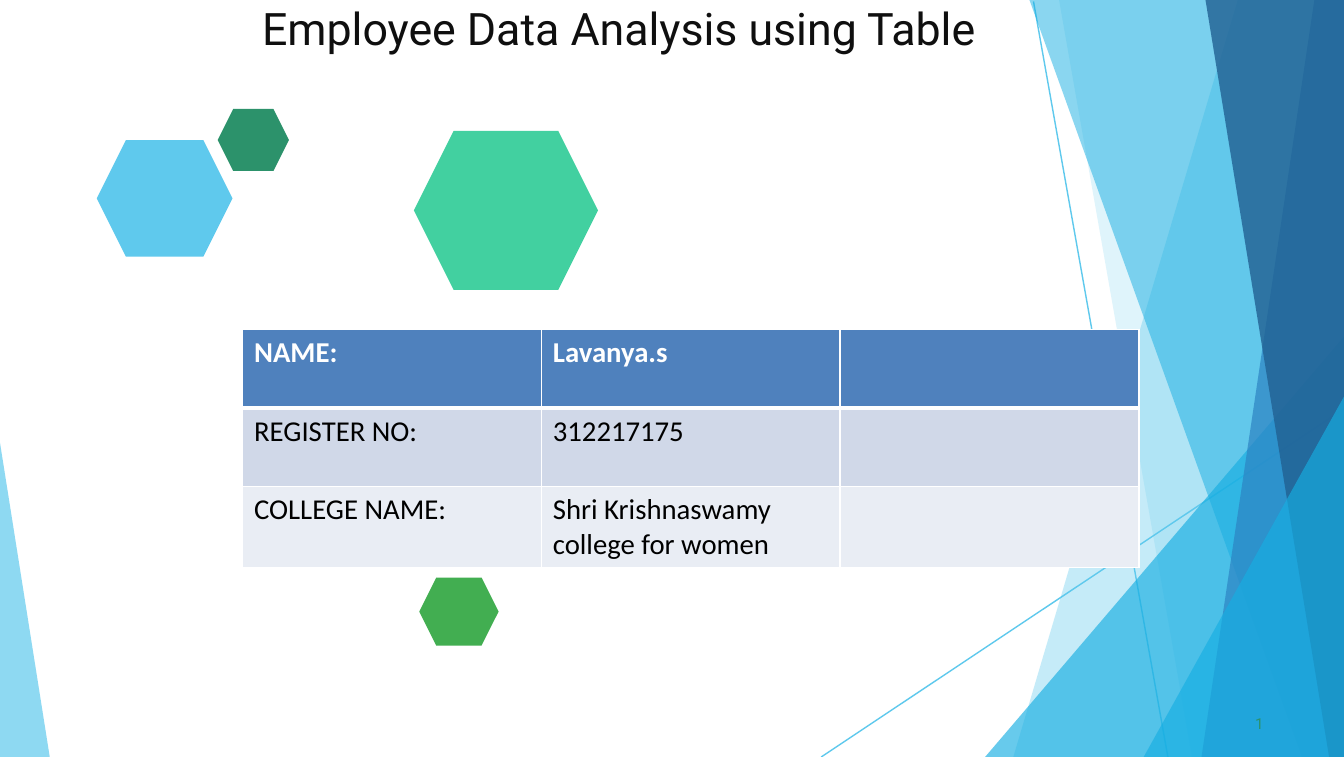
from lxml.etree import SubElement
from pptx import Presentation
from pptx.dml.color import RGBColor
from pptx.enum.shapes import MSO_CONNECTOR as Connector, MSO_SHAPE as Shape
from pptx.oxml.ns import qn
from pptx.util import Inches, Pt

COLORS = {
    "sky": "5FC9ED", "cyan": "16AEE2", "blue": "2C83C3", "navy": "216092",
    "pine": "2C926B", "mint": "42D0A0", "leaf": "42AE51", "ink": "0F0F0F",
    "header": "4F81BD", "band": "D0D8E8", "pale": "E9EDF4",
    "white": "FFFFFF", "black": "000000",
}

presentation = Presentation()
presentation.slide_width = Inches(11.69)
presentation.slide_height = Inches(6.58)
slide = presentation.slides.add_slide(presentation.slide_layouts[6])


def share(*percents):
    sizes = (presentation.slide_width, presentation.slide_height)
    return [int(sizes[i % 2] * percent / 100) for i, percent in enumerate(percents)]


def paint(shape, color, opacity=100):
    shape.shadow.inherit = False
    shape.line.fill.background()
    shape.fill.solid()
    shape.fill.fore_color.rgb = RGBColor.from_string(COLORS[color])
    if opacity < 100:
        tint = shape._element.spPr.find(qn("a:solidFill")).find(qn("a:srgbClr"))
        SubElement(tint, qn("a:alpha"), val=str(opacity * 1000))


for ends in [(76.9, 0.2, 86.9, 100), (100, 54, 61.1, 100)]:
    line = slide.shapes.add_connector(Connector.STRAIGHT, *share(*ends))
    line.line.color.rgb = RGBColor.from_string(COLORS["sky"])
    line.line.width = Pt(0.88)
    SubElement(line._element.spPr, qn("a:effectLst"))

corner, top_right = (100, 100), (100, 0)
facets = [
    ([corner, (75.4, 100), (92.1, 0), top_right], "sky", 36),
    ([corner, (88.7, 100), (78.8, 0), top_right], "sky", 20),
    ([corner, (73.3, 100), (100, 44.5)], "cyan", 65),
    ([corner, (96.9, 100), (76.6, 0), top_right], "cyan", 50),
    ([corner, (89.4, 100), (97.8, 0), top_right], "blue", 70),
    ([corner, (98.9, 100), (89.7, 0), top_right], "navy", 80),
    ([corner, (85.1, 100), (100, 52.4)], "cyan", 65),
    ([(3.7, 100), (0, 100), (0, 58.5)], "sky", 70),
]
for points, color, opacity in facets:
    start, *others = [share(*point) for point in points]
    builder = slide.shapes.build_freeform(*start)
    builder.add_line_segments(others, close=True)
    paint(builder.convert_to_shape(), color, opacity)

hexagons = [
    ((7.2, 18.5, 10.1, 15.4), "sky"),
    ((16.2, 14.4, 5.3, 8.2), "pine"),
    ((30.8, 17.3, 13.7, 21), "mint"),
    ((31.2, 76.3, 5.9, 9), "leaf"),
]
for box, color in hexagons:
    paint(slide.shapes.add_shape(Shape.HEXAGON, *share(*box)), color)

labels = [
    ("Employee Data Analysis using Table", (19.5, 0, 53.5, 7.6), 28, "ink", 1.1),
    ("1", (93.4, 94.2, 1.4, 2.9), 9.5, "pine", 0.5),
]
for text, box, size, color, space in labels:
    frame = slide.shapes.add_textbox(*share(*box)).text_frame
    frame.word_wrap = True
    frame.margin_left = frame.margin_right = frame.margin_bottom = 0
    frame.margin_top = Inches(0.01)
    paragraph = frame.paragraphs[0]
    paragraph.text = text
    paragraph.space_before = Pt(space)
    paragraph.font.name = "Roboto"
    paragraph.font.size = Pt(size)
    paragraph.font.color.rgb = RGBColor.from_string(COLORS[color])

rows = [
    (("NAME:", "Lavanya.s", ""), "header", "white"),
    (("REGISTER NO:", "312217175", ""), "band", "black"),
    (("COLLEGE NAME:", "Shri Krishnaswamy college for women", ""), "pale", "black"),
]
table = slide.shapes.add_table(3, 3, *share(18.05, 43.5, 66.7, 31.2)).table
for row, (texts, fill, ink) in enumerate(rows):
    for column, text in enumerate(texts):
        cell = table.cell(row, column)
        properties = cell._tc.get_or_add_tcPr()
        for side in "LRTB":
            heavy = (row, side) in [(0, "B"), (1, "T")]
            border = SubElement(properties, qn(f"a:ln{side}"), w=str(Pt(3 if heavy else 1)))
            SubElement(SubElement(border, qn("a:solidFill")), qn("a:srgbClr"), val=COLORS["white"])
        cell.fill.solid()
        cell.fill.fore_color.rgb = RGBColor.from_string(COLORS[fill])
        paragraph = cell.text_frame.paragraphs[0]
        paragraph.text = text
        paragraph.font.name = "Calibri"
        paragraph.font.size = Pt(18)
        paragraph.font.bold = row == 0
        paragraph.font.color.rgb = RGBColor.from_string(COLORS[ink])

presentation.save("out.pptx")
